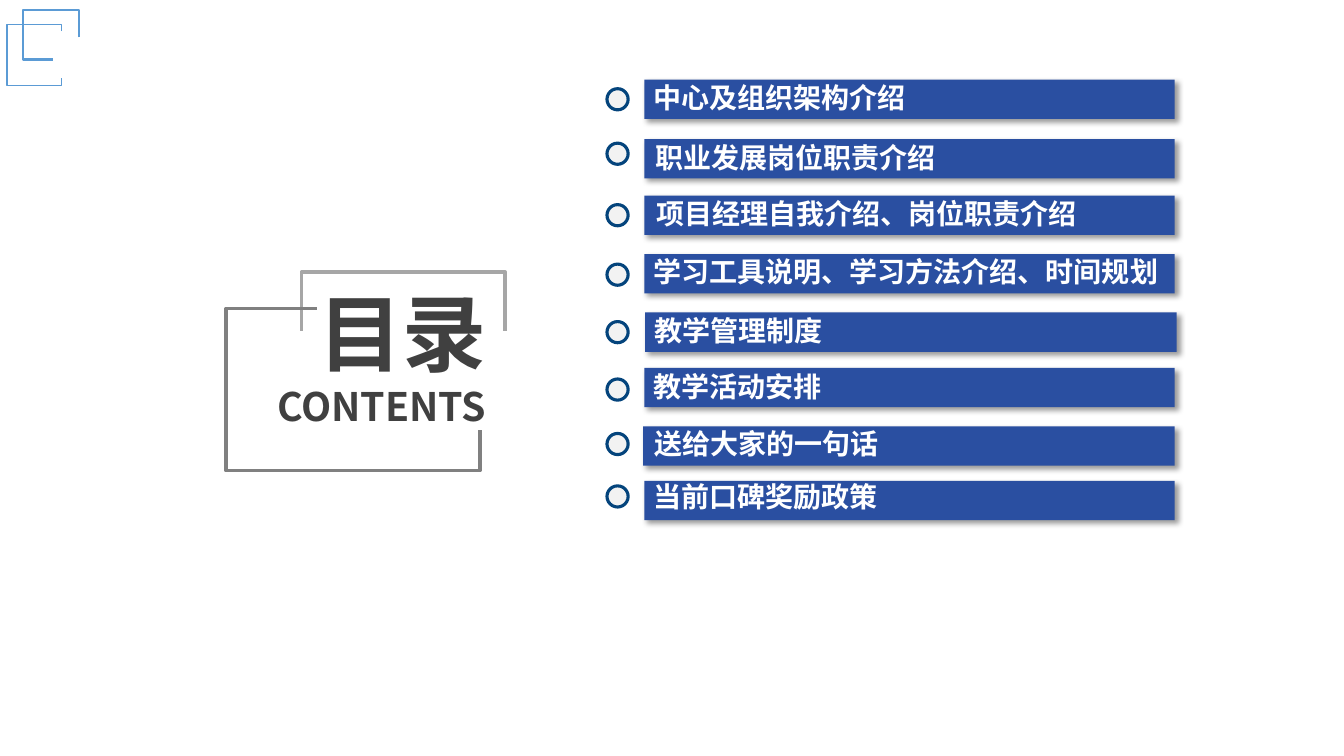
"""Builds a contents slide: a framed heading beside eight ringed agenda bars."""
from lxml import etree
from pptx import Presentation
from pptx.dml.color import RGBColor
from pptx.enum.shapes import MSO_SHAPE
from pptx.enum.text import PP_ALIGN
from pptx.oxml.ns import qn
from pptx.util import Inches, Pt

RECTANGLE, OVAL = MSO_SHAPE.RECTANGLE, MSO_SHAPE.OVAL
LEFT, RIGHT = PP_ALIGN.LEFT, PP_ALIGN.RIGHT
FONT = "Noto Sans CJK SC"
BAR_HEIGHT, RING_LEFT, RING_SIZE, LABEL_HEIGHT = 0.39, 6.02, 0.21, 0.41

HEADING = [("目录", 60), ("CONTENTS", 28)]
FRAMES = [
    ("5B9BD5", 1, [(0.61, 0.31), (0.61, 0.24), (0.07, 0.24), (0.07, 0.85), (0.61, 0.85), (0.61, 0.77)]),
    ("5B9BD5", 1.5, [(0.78, 0.37), (0.78, 0.1), (0.23, 0.1), (0.23, 0.59), (0.53, 0.59)]),
    ("A6A6A6", 2.5, [(2.99, 3.28), (2.99, 2.7), (5.01, 2.7), (5.01, 3.28)]),
    ("808080", 2.5, [(4.76, 4.27), (4.76, 4.67), (2.24, 4.67), (2.24, 3.06), (3.14, 3.06)]),
]
# Each item: wording, bar (left, top, width), ring top, label (left, top, width)
AGENDA = [
    ("中心及组织架构介绍", (6.39, 0.79, 5.26), 0.88, (6.38, 0.79, 3.51)),
    ("职业发展岗位职责介绍", (6.39, 1.38, 5.26), 1.42, (6.4, 1.38, 4.5)),
    ("项目经理自我介绍、岗位职责介绍", (6.39, 1.94, 5.26), 2.03, (6.41, 1.94, 4.42)),
    ("学习工具说明、学习方法介绍、时间规划", (6.39, 2.52, 5.26), 2.62, (6.38, 2.51, 5.6)),
    ("教学管理制度", (6.4, 3.1, 5.27), 3.19, (6.39, 3.1, 3.51)),
    ("教学活动安排", (6.39, 3.65, 5.26), 3.76, (6.38, 3.65, 3.51)),
    ("送给大家的一句话", (6.38, 4.23, 5.27), 4.3, (6.39, 4.22, 3.51)),
    ("当前口碑奖励政策", (6.39, 4.77, 5.26), 4.82, (6.38, 4.75, 3.51)),
]


def color(value):
    return RGBColor.from_string(value)


def add_frame(page, line_color, weight, points):
    corners = [(Inches(x), Inches(y)) for x, y in points]
    builder = page.shapes.build_freeform(*corners[0])
    builder.add_line_segments(corners[1:], close=False)
    frame = builder.convert_to_shape()
    frame.shadow.inherit = False
    frame.fill.background()
    frame.line.color.rgb = color(line_color)
    frame.line.width = Pt(weight)


def add_filled(page, kind, fill, left, top, width, height):
    shape = page.shapes.add_shape(kind, Inches(left), Inches(top), Inches(width), Inches(height))
    shape.shadow.inherit = False
    shape.fill.solid()
    shape.fill.fore_color.rgb = color(fill)
    shape.line.fill.background()
    return shape


def add_shadow(shape):
    effects = shape._element.spPr.find(qn("a:effectLst"))
    shadow = etree.SubElement(effects, qn("a:outerShdw"), blurRad=str(Pt(4)), dist=str(Pt(3)),
                              dir=str(45 * 60000), algn="tl", rotWithShape="0")
    tint = etree.SubElement(shadow, qn("a:srgbClr"), val="000000")
    etree.SubElement(tint, qn("a:alpha"), val="40000")


def add_text(page, lines, font_color, left, top, width, height, align=LEFT, spacing=None, before=None):
    box = page.shapes.add_textbox(Inches(left), Inches(top), Inches(width), Inches(height))
    frame = box.text_frame
    frame.word_wrap = True
    for index, (words, size) in enumerate(lines):
        para = frame.add_paragraph() if index else frame.paragraphs[0]
        para.alignment = align
        para.line_spacing = spacing
        para.space_before = before
        span = para.add_run()
        span.text = words
        span.font.size = Pt(size)
        span.font.bold = True
        span.font.name = FONT
        span.font.color.rgb = color(font_color)
        etree.SubElement(span.font._element, qn("a:ea"), typeface=FONT)


def main():
    deck = Presentation()
    deck.slide_width, deck.slide_height = Inches(13.33), Inches(7.5)
    page = deck.slides.add_slide(deck.slide_layouts[6])
    add_text(page, HEADING, "404040", 1.43, 2.74, 3.49, 1.58, RIGHT)
    for frame in FRAMES:
        add_frame(page, *frame)
    for words, bar_place, ring_top, label_place in AGENDA:
        bar = add_filled(page, RECTANGLE, "2A4FA1", *bar_place, BAR_HEIGHT)
        add_shadow(bar)
        ring = add_filled(page, OVAL, "F2F2F2", RING_LEFT, ring_top, RING_SIZE, RING_SIZE)
        ring.line.color.rgb = color("04447C")
        ring.line.width = Pt(2.25)
        add_text(page, [(words, 20)], "FFFFFF", *label_place, LABEL_HEIGHT, spacing=0.9, before=Pt(10))
    deck.save("out.pptx")


if __name__ == "__main__":
    main()
